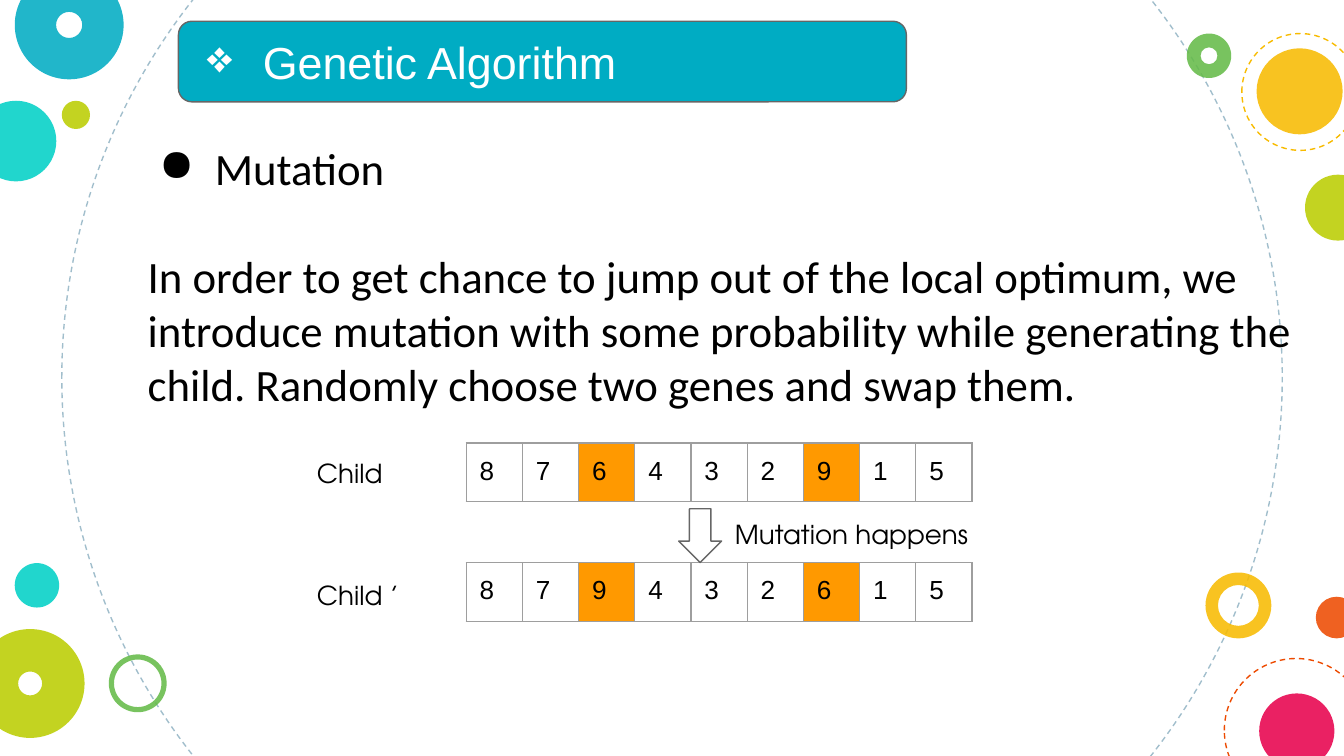
from dataclasses import dataclass
from lxml.etree import SubElement
from pptx import Presentation
from pptx.dml.color import RGBColor
from pptx.enum.dml import MSO_LINE
from pptx.enum.shapes import MSO_SHAPE
from pptx.enum.text import MSO_ANCHOR, PP_ALIGN
from pptx.oxml.ns import qn
from pptx.util import Pt


@dataclass(frozen=True)
class Theme:
    white: str = "FFFFFF"
    black: str = "000000"
    teal: str = "00ACC3"
    aqua: str = "00D1C6"
    lime: str = "BBCD00"
    green: str = "65BB48"
    gold: str = "F8BB00"
    red: str = "ED4A00"
    pink: str = "E8004C"
    mist: str = "A1BECC"
    edge: str = "666666"
    grid: str = "9E9E9E"
    mark: str = "FF9900"
    big: int = 24
    small: int = 14
    sans: str = "Arial"
    body: str = "Calibri"
    label: str = "TeX Gyre Adventor"
    thin: float = 0.75
    alpha: int = 87


T = Theme()

TITLE = "Genetic Algorithm"
TOPIC = "Mutation"
STORY = ("In order to get chance to jump out of the local optimum, we "
         "introduce mutation with some probability while generating the "
         "child. Randomly choose two genes and swap them.")
GENES = [8, 7, 6, 4, 3, 2, 9, 1, 5]
SWAP = (2, 6)
LABELS = [
    ("Child", 162.7, 237.6, 72.7),
    ("Child ’", 162.7, 303.1, 72.7),
    ("Mutation happens", 386.6, 270.7, 159.1),
]
RINGS = [
    (33.1, -124.6, 653.8, T.mist),
    (655.9, 352.8, 77, T.red),
    (665.3, 18, 62.6, T.gold),
]
DOTS = [
    (-13, 54, 43.2, T.aqua, 0),
    (645.8, 306.7, 35.3, T.gold, 0.19),
    (7.9, -15.8, 58.3, T.teal, 0.38),
    (33.1, 54, 15.1, T.lime, 0),
    (58.3, 350.6, 31, T.green, 0.09),
    (704.9, 319.7, 22.3, T.red, 0),
    (-13, 337, 58.3, T.lime, 0.39),
    (674.6, 371.5, 40.3, T.pink, 0),
    (635.8, 18, 23.8, T.green, 0.31),
    (673.2, 25.9, 46.1, T.gold, 0),
    (699.1, 93.6, 35.3, T.lime, 0),
    (7.9, 301.7, 23.8, T.aqua, 0),
]
LEFT, CELL, TALL, PAD = 249.8, 30.13, 31.3, 7.2
TOPS = (237.3, 301.5)


def paint(fill, color):
    fill.solid()
    fill.fore_color.rgb = RGBColor.from_string(color)


def draw(slide, kind, box, fill=None, line=None, dash=False):
    shape = slide.shapes.add_shape(kind, *map(Pt, box))
    shape.shadow.inherit = False
    if fill:
        paint(shape.fill, fill)
    else:
        shape.fill.background()
    if line:
        paint(shape.line.fill, line)
        shape.line.width = Pt(T.thin)
        if dash:
            shape.line.dash_style = MSO_LINE.DASH
    else:
        shape.line.fill.background()
    return shape


def pad(frame):
    frame.margin_left = frame.margin_right = Pt(PAD)
    frame.margin_top = frame.margin_bottom = Pt(PAD)


def write(para, text, font, size, color=T.black):
    para.alignment = PP_ALIGN.LEFT
    run = para.add_run()
    run.text = text
    run.font.name = font
    run.font.size = Pt(size)
    run.font.color.rgb = RGBColor.from_string(color)


def bullet(para, char, color):
    props = para._p.get_or_add_pPr()
    props.set("marL", str(Pt(36)))
    props.set("indent", str(Pt(-30)))
    tint = SubElement(props, qn("a:buClr"))
    SubElement(tint, qn("a:srgbClr"), val=color)
    SubElement(props, qn("a:buChar"), char=char)


def add_text(slide, box):
    frame = slide.shapes.add_textbox(*map(Pt, box)).text_frame
    frame.word_wrap = True
    pad(frame)
    return frame


def border(cell):
    props = cell._tc.get_or_add_tcPr()
    for side in ("lnL", "lnR", "lnT", "lnB"):
        line = SubElement(props, qn("a:" + side), w=str(Pt(T.thin)))
        fill = SubElement(line, qn("a:solidFill"))
        SubElement(fill, qn("a:srgbClr"), val=T.grid)


def add_genes(slide, genes, top):
    count = len(genes)
    box = (LEFT, top, CELL * count, TALL)
    table = slide.shapes.add_table(1, count, *map(Pt, box)).table
    table.first_row = table.horz_banding = False
    for i, gene in enumerate(genes):
        table.columns[i].width = Pt(CELL)
        cell = table.cell(0, i)
        pad(cell)
        border(cell)
        paint(cell.fill, T.mark if i in SWAP else T.white)
        write(cell.text_frame.paragraphs[0], str(gene), T.sans, T.small)


def main():
    deck = Presentation()
    deck.slide_width, deck.slide_height = Pt(720), Pt(405)
    slide = deck.slides.add_slide(deck.slide_layouts[6])

    for x, y, size, color in RINGS:
        draw(slide, MSO_SHAPE.OVAL, (x, y, size, size), line=color, dash=True)
    for x, y, size, color, hole in DOTS:
        kind = MSO_SHAPE.DONUT if hole else MSO_SHAPE.OVAL
        dot = draw(slide, kind, (x, y, size, size), color)
        if hole:
            dot.adjustments[0] = hole
        tint = dot._element.spPr.find(".//" + qn("a:srgbClr"))
        SubElement(tint, qn("a:alpha"), val=str(T.alpha * 1000))

    banner = draw(slide, MSO_SHAPE.ROUNDED_RECTANGLE,
                  (95.6, 11.4, 390, 43.2), T.teal, T.edge)
    frame = banner.text_frame
    pad(frame)
    frame.vertical_anchor = MSO_ANCHOR.MIDDLE
    write(frame.paragraphs[0], TITLE, T.sans, T.big, T.white)
    bullet(frame.paragraphs[0], "❖", T.white)

    frame = add_text(slide, (72, 68.4, 627, 268))
    write(frame.paragraphs[0], TOPIC, T.body, T.big)
    bullet(frame.paragraphs[0], "●", T.black)
    para = frame.add_paragraph()
    para.space_before = Pt(29)
    write(para, STORY, T.body, T.big)

    child = list(GENES)
    a, b = SWAP
    child[a], child[b] = child[b], child[a]
    for genes, top in zip((GENES, child), TOPS):
        add_genes(slide, genes, top)

    draw(slide, MSO_SHAPE.DOWN_ARROW, (363.6, 272.6, 23, 28.8),
         T.white, T.edge)
    for text, x, y, wide in LABELS:
        frame = add_text(slide, (x, y, wide, TALL))
        write(frame.paragraphs[0], text, T.label, T.small)

    deck.save("out.pptx")


if __name__ == "__main__":
    main()
